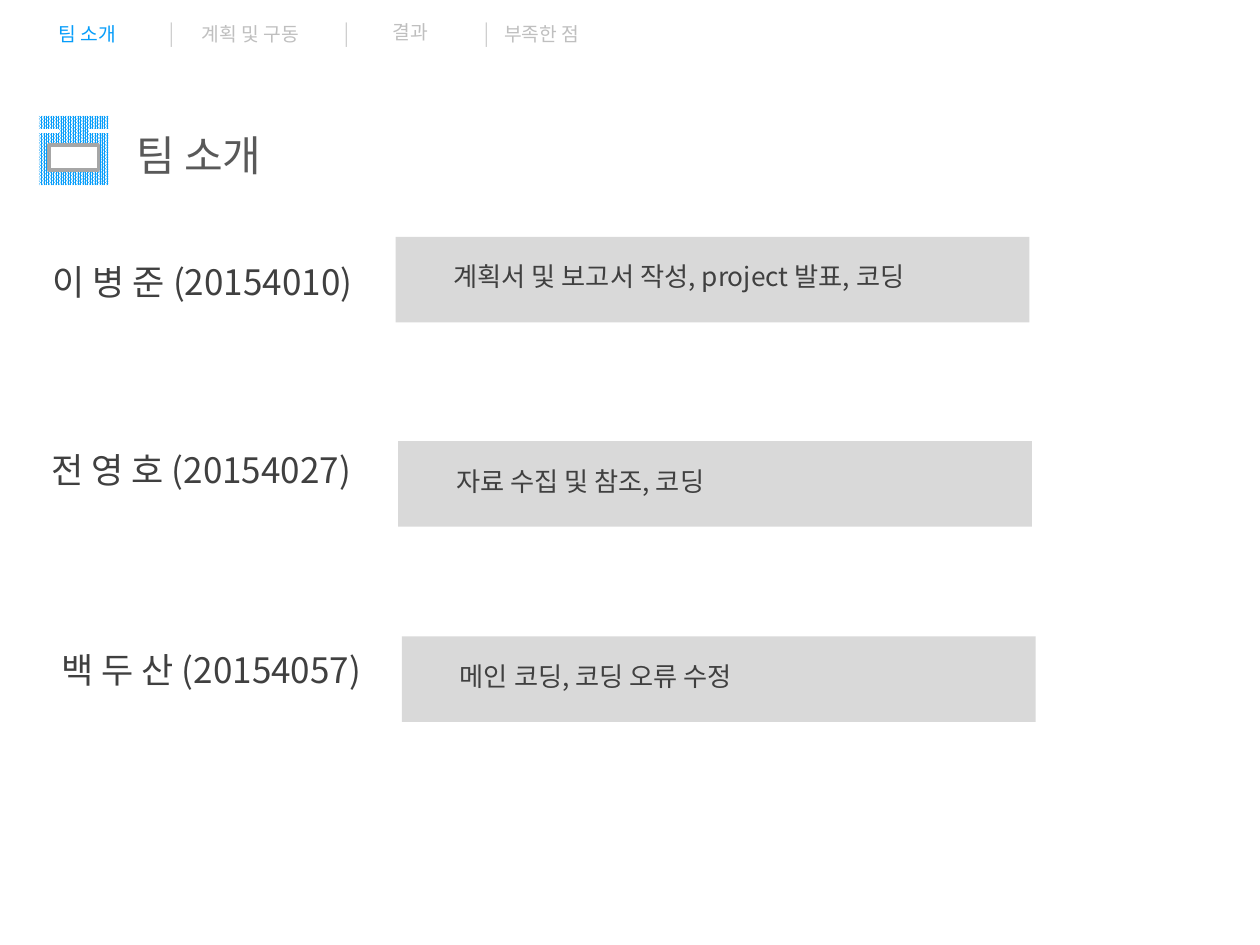
from dataclasses import dataclass

from lxml import etree
from pptx import Presentation
from pptx import util as u
from pptx.dml.color import RGBColor
from pptx.enum import dml, shapes, text
from pptx.oxml.ns import qn


@dataclass(frozen=True)
class Theme:
    font: str = "Noto Sans CJK KR"
    accent: str = "069DFA"
    white: str = "FFFFFF"
    title: str = "595959"
    body: str = "404040"
    muted: str = "BFBFBF"
    border: str = "A6A6A6"
    bar: str = "D9D9D9"
    title_size: int = 24
    name_size: int = 20
    task_size: int = 15
    separator_size: int = 14
    menu_size: int = 11


THEME = Theme()
ALIGN = text.PP_ALIGN


def inches(*lengths):
    return [u.Inches(length) for length in lengths]


def set_values(target, values):
    for name, value in values.items():
        setattr(target, name, value)


def write(shape, words, size, color, align=ALIGN.LEFT, inset=0.1):
    frame = shape.text_frame
    set_values(frame, {
        "word_wrap": True,
        "auto_size": text.MSO_AUTO_SIZE.NONE,
        "vertical_anchor": text.MSO_ANCHOR.TOP,
        "margin_left": u.Inches(inset),
        "margin_right": u.Inches(0.1),
        "margin_top": u.Inches(0.05),
        "margin_bottom": u.Inches(0.05),
    })
    paragraph = frame.paragraphs[0]
    set_values(paragraph, {"alignment": align, "line_spacing": 1.0, "space_before": u.Pt(0)})
    run = paragraph.add_run()
    run.text = words
    set_values(run.font, {"size": u.Pt(size), "name": THEME.font})
    run.font.color.rgb = RGBColor.from_string(color)
    # Korean letters take the East Asian font
    east_asian = etree.SubElement(run.font._element, qn("a:ea"))
    east_asian.set("typeface", THEME.font)


def add_text(parent, box, *args, **options):
    write(parent.add_textbox(*inches(*box)), *args, **options)


def add_rectangle(parent, box, color):
    shape = parent.add_shape(shapes.MSO_SHAPE.RECTANGLE, *inches(*box))
    shape.shadow.inherit = False
    shape.fill.solid()
    shape.fill.fore_color.rgb = RGBColor.from_string(color)
    shape.line.fill.background()
    return shape


def add_menu(slide, left, top):
    # Menu entries: offset and size inside the menu, then wording and colour
    entries = [
        (0, 0.02, 0.91, "팀 소개", THEME.accent),
        (0.95, 0.02, 1.6, "계획 및 구동", THEME.muted),
        (2.56, 0, 0.91, "결과", THEME.muted),
        (3.59, 0.02, 0.94, "부족한 점", THEME.muted),
    ]
    for x, y, width, words, color in entries:
        add_text(slide.shapes, (left + x, top + y, width, 0.29), words,
                 THEME.menu_size, color, align=ALIGN.CENTER)
    for x in (0.93, 2.32, 3.43):
        add_text(slide.shapes, (left + x, top, 0.24, 0.34), "│",
                 THEME.separator_size, THEME.muted, align=ALIGN.CENTER)


def add_icon(slide, left, top, size):
    group = slide.shapes.add_group_shape().shapes
    # Patterned base
    base = add_rectangle(group, (left, top, size, size), THEME.accent)
    base.fill.patterned()
    base.fill.pattern = dml.MSO_PATTERN.PERCENT_90
    base.fill.fore_color.rgb = RGBColor.from_string(THEME.accent)
    base.fill.back_color.rgb = RGBColor.from_string(THEME.white)
    # Notches at both sides
    for x in (left, left + 0.4):
        notch = group.add_connector(shapes.MSO_CONNECTOR.STRAIGHT,
                                    *inches(x, top + 0.12, x + 0.16, top + 0.12))
        notch.line.width = u.Pt(2.25)
        notch.line.color.rgb = RGBColor.from_string(THEME.white)
        etree.SubElement(notch._element.spPr, qn("a:effectLst"))
    # Label plate
    plate = add_rectangle(group, (left + 0.08, top + 0.23, 0.39, 0.2), THEME.white)
    plate.line.color.rgb = RGBColor.from_string(THEME.border)
    plate.line.width = u.Pt(2)


def add_title(slide, box):
    title = slide.shapes.title
    set_values(title, dict(zip(("left", "top", "width", "height"), inches(*box))))
    write(title, "팀 소개", THEME.title_size, THEME.title)


def add_member(slide, name_at, bar_at, name, task):
    add_text(slide.shapes, (*name_at, 2.82, 0.44), name, THEME.name_size, THEME.body)
    group = slide.shapes.add_group_shape().shapes
    left, top = bar_at
    add_rectangle(group, (left, top, 5.03, 0.68), THEME.bar)
    add_text(group, (left + 0.18, top + 0.14, 4.68, 0.35), task,
             THEME.task_size, THEME.body, align=ALIGN.JUSTIFY, inset=0.28)


def main():
    presentation = Presentation()
    presentation.slide_width, presentation.slide_height = inches(10, 7.5)
    slide = presentation.slides.add_slide(presentation.slide_layouts[5])

    add_icon(slide, 0.31, 0.92, 0.55)
    add_title(slide, (0.98, 0.98, 1.48, 0.5))
    add_menu(slide, 0.24, 0.11)

    members = [
        ((0.32, 2.02), (3.14, 1.88), "이 병 준 (20154010)",
         "계획서 및 보고서 작성, project 발표, 코딩"),
        ((0.31, 3.51), (3.16, 3.5), "전 영 호 (20154027)", "자료 수집 및 참조, 코딩"),
        ((0.39, 5.1), (3.19, 5.05), "백 두 산 (20154057)", "메인 코딩, 코딩 오류 수정"),
    ]
    for member in members:
        add_member(slide, *member)

    presentation.save("out.pptx")


if __name__ == "__main__":
    main()
